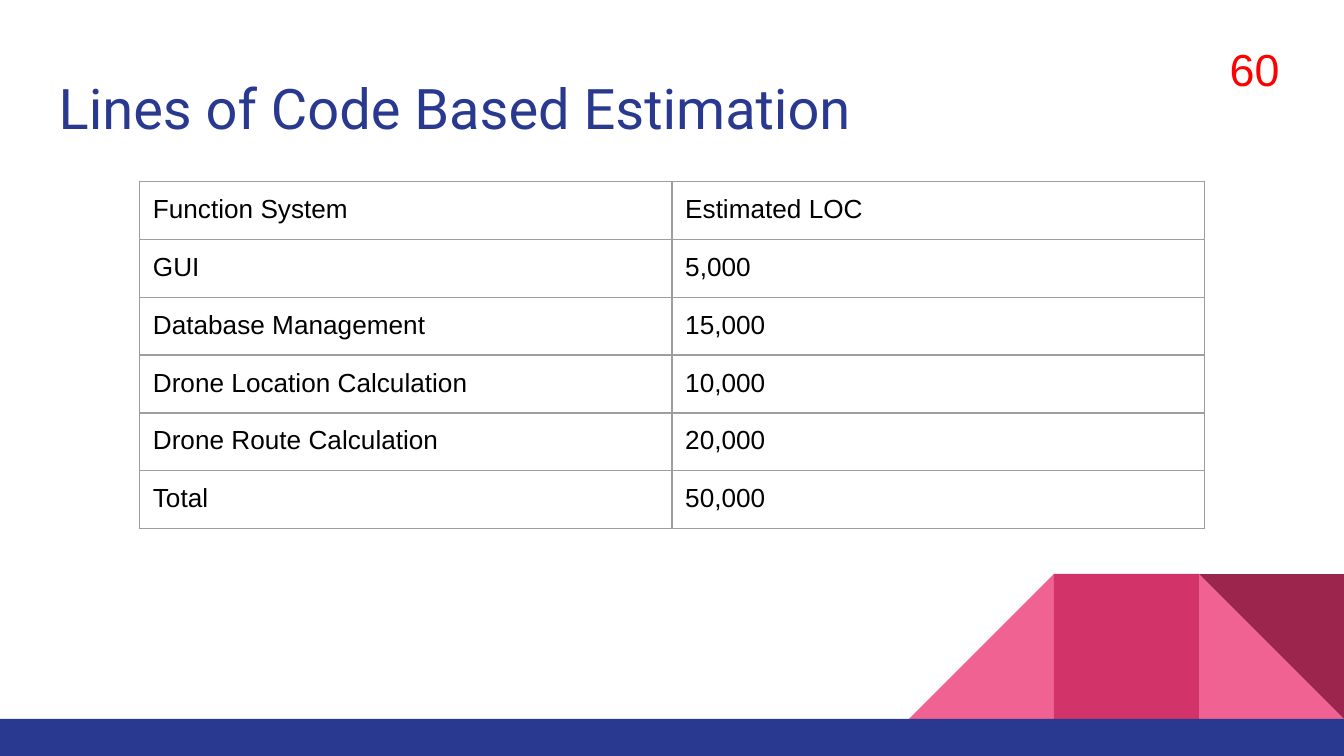
from dataclasses import dataclass

from lxml import etree
from pptx import Presentation
from pptx import util as u
from pptx.dml.color import RGBColor
from pptx.enum import shapes, text
from pptx.oxml.ns import qn

TRIANGLE = shapes.MSO_SHAPE.RIGHT_TRIANGLE
RECT = shapes.MSO_SHAPE.RECTANGLE
WIDTH, HEIGHT = 25.4, 14.29
BAR_TOP = 13.59
TILE = 2.74
INSET = u.Cm(0.25)
BORDER = "9E9E9E"


@dataclass
class Block:
    kind: shapes.MSO_SHAPE
    left: float
    top: float
    width: float
    height: float
    color: str
    flip: bool = False
    rotation: int = 0


def tile(kind: shapes.MSO_SHAPE, from_right: int, color: str, **turn) -> Block:
    return Block(kind, WIDTH - from_right * TILE, BAR_TOP - TILE, TILE, TILE, color, **turn)


BLOCKS = [
    tile(TRIANGLE, 1, "F06292"),
    tile(TRIANGLE, 3, "F06292", flip=True),
    tile(RECT, 2, "D23369"),
    tile(TRIANGLE, 1, "9C254D", rotation=180),
    Block(RECT, 0, BAR_TOP, WIDTH, HEIGHT - BAR_TOP, "2A3990"),
]

ROWS = [
    ("Function System", "Estimated LOC"),
    ("GUI", "5,000"),
    ("Database Management", "15,000"),
    ("Drone Location Calculation", "10,000"),
    ("Drone Route Calculation", "20,000"),
    ("Total", "50,000"),
]


def rgb(color: str) -> RGBColor:
    return RGBColor.from_string(color)


def write(tf, content: str, *, size: float, font: str = "Arial", color: str = "000000") -> None:
    r = tf.paragraphs[0].add_run()
    r.text = content
    r.font.size = u.Pt(size)
    r.font.name = font
    r.font.color.rgb = rgb(color)


def add_block(s, block: Block) -> None:
    sp = s.shapes.add_shape(block.kind, u.Cm(block.left), u.Cm(block.top),
                            u.Cm(block.width), u.Cm(block.height))
    sp.shadow.inherit = False
    sp.fill.solid()
    sp.fill.fore_color.rgb = rgb(block.color)
    sp.line.fill.background()
    sp.rotation = block.rotation
    if block.flip:
        sp._element.spPr.find(qn("a:xfrm")).set("flipH", "1")


def add_text(s, content: str, left: float, top: float, width: float, height: float,
             anchor=text.MSO_ANCHOR.TOP, **style) -> None:
    tf = s.shapes.add_textbox(u.Cm(left), u.Cm(top), u.Cm(width), u.Cm(height)).text_frame
    tf.word_wrap = True
    tf.vertical_anchor = anchor
    tf.margin_left = tf.margin_right = tf.margin_top = tf.margin_bottom = INSET
    write(tf, content, **style)


def add_borders(cell) -> None:
    tc_pr = cell._tc.get_or_add_tcPr()
    for i, side in enumerate(("lnL", "lnR", "lnT", "lnB")):
        ln = etree.Element(qn(f"a:{side}"), w=str(u.Pt(0.75)))
        fill = etree.SubElement(ln, qn("a:solidFill"))
        etree.SubElement(fill, qn("a:srgbClr"), val=BORDER)
        tc_pr.insert(i, ln)


def add_estimates(s, left: float, top: float, col_width: float, row_height: float) -> None:
    table = s.shapes.add_table(len(ROWS), len(ROWS[0]), u.Cm(left), u.Cm(top),
                               u.Cm(col_width * len(ROWS[0])),
                               u.Cm(row_height * len(ROWS))).table
    table.first_row = table.horz_banding = False
    for i, row in enumerate(ROWS):
        for j, value in enumerate(row):
            cell = table.cell(i, j)
            cell.fill.background()
            cell.margin_left = cell.margin_right = INSET
            cell.margin_top = cell.margin_bottom = INSET
            write(cell.text_frame, value, size=14)
            add_borders(cell)


def main() -> None:
    prs = Presentation()
    prs.slide_width, prs.slide_height = u.Cm(WIDTH), u.Cm(HEIGHT)
    s = prs.slides.add_slide(prs.slide_layouts[6])
    for block in BLOCKS:
        add_block(s, block)
    add_text(s, "Lines of Code Based Estimation", 0.86, 1.14, 15.65, 1.68,
             size=30, font="Roboto", color="2A3990")
    add_text(s, "60", 22.99, 0.38, 1.96, 1.83, anchor=text.MSO_ANCHOR.MIDDLE,
             size=24, color="FF0000")
    add_estimates(s, 2.64, 3.43, 10.06, 1.07)
    prs.save("out.pptx")


if __name__ == "__main__":
    main()
